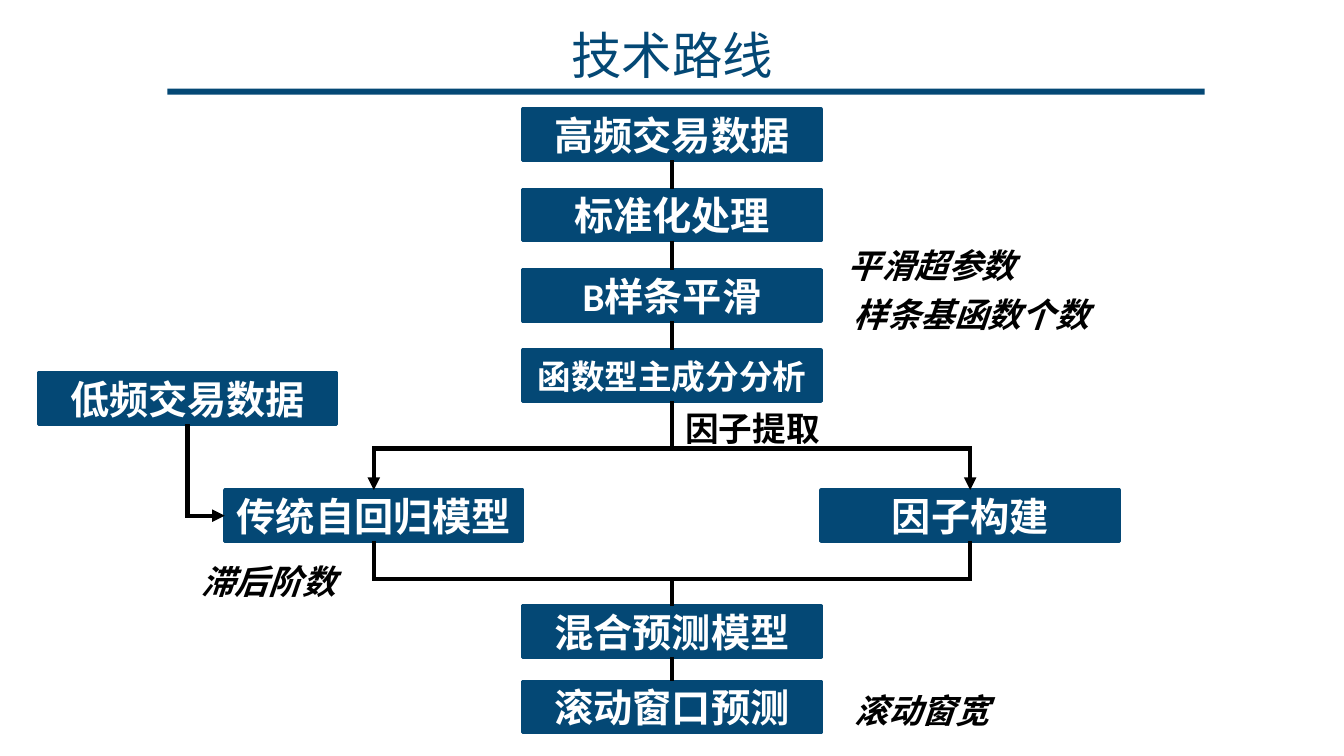
"""Build the technical roadmap flowchart slide."""
from lxml import etree
from pptx import Presentation
from pptx.dml.color import RGBColor
from pptx.enum.shapes import MSO_CONNECTOR, MSO_SHAPE
from pptx.enum.text import MSO_ANCHOR, PP_ALIGN
from pptx.oxml.ns import qn
from pptx.util import Pt

RECTANGLE = MSO_SHAPE.RECTANGLE
STRAIGHT = MSO_CONNECTOR.STRAIGHT
MIDDLE = MSO_ANCHOR.MIDDLE
CENTER, LEFT = PP_ALIGN.CENTER, PP_ALIGN.LEFT
TOP_SIDE, LEFT_SIDE, BOTTOM_SIDE = 0, 1, 2

NAVY, BLACK, WHITE = "044875", "000000", "FFFFFF"
FONT = "Calibri"
TITLE = "技术路线"

NODE_WIDTH, NODE_HEIGHT = 213, 36.7
LINE_WIDTH = 3
MAIN_X, LEFT_X, RIGHT_X, LOW_X = 480, 267, 693, 134
FIRST_TOP, STEP = 77.8, 57.4
MODEL_TOP = 350
SPLIT_Y, MERGE_Y = 320.4, 413.3

STEPS = [("高频交易数据", 28), ("标准化处理", 28), ("B样条平滑", 28), ("函数型主成分分析", 24)]
NODES = [
    ("低频交易数据", LOW_X, 266.4),
    ("传统自回归模型", LEFT_X, MODEL_TOP),
    ("因子构建", RIGHT_X, MODEL_TOP),
    ("混合预测模型", MAIN_X, 432.7),
    ("滚动窗口预测", MAIN_X, 486.7),
]
LABELS = [
    ("因子提取", 482.4, 288, False),
    ("滞后阶数", 136.8, 397.4, True),
    ("平滑超参数", 598.3, 171.4, True),
    ("样条基函数个数", 602.6, 206.6, True),
    ("滚动窗宽", 603.4, 489.6, True),
]


def color(value):
    return RGBColor.from_string(value)


def write(shape, text, size, text_color, alignment, bold=True, italic=False):
    shape.text_frame.text = text
    paragraph = shape.text_frame.paragraphs[0]
    paragraph.alignment = alignment
    font = paragraph.runs[0].font
    font.name, font.size = FONT, Pt(size)
    font.bold, font.italic = bold, italic
    font.color.rgb = color(text_color)


def add_bar(slide, left, top, width, height):
    shape = slide.shapes.add_shape(RECTANGLE, Pt(left), Pt(top), Pt(width), Pt(height))
    shape.shadow.inherit = False
    shape.fill.solid()
    shape.fill.fore_color.rgb = color(NAVY)
    return shape


def add_node(slide, text, center, top, size=28):
    shape = add_bar(slide, center - NODE_WIDTH / 2, top, NODE_WIDTH, NODE_HEIGHT)
    shape.line.color.rgb = color(NAVY)
    shape.line.width = Pt(2.25)
    frame = shape.text_frame
    frame.margin_left = frame.margin_right = frame.margin_top = frame.margin_bottom = 0
    frame.vertical_anchor = MIDDLE
    write(shape, text, size, WHITE, CENTER)
    return shape


def add_line(slide, start, end, source=None, target=None, arrow=False):
    """Draw a line; source and target are (shape, side) pairs to join."""
    line = slide.shapes.add_connector(STRAIGHT, *(Pt(value) for value in start + end))
    if source:
        line.begin_connect(*source)
    if target:
        line.end_connect(*target)
    line.line.color.rgb = color(BLACK)
    line.line.width = Pt(LINE_WIDTH)
    if arrow:
        etree.SubElement(line.line._get_or_add_ln(), qn("a:tailEnd"), type="triangle")
    etree.SubElement(line._element.spPr, qn("a:effectLst"))


def add_label(slide, text, left, top, italic):
    box = slide.shapes.add_textbox(Pt(left), Pt(top), Pt(186), Pt(36))
    box.text_frame.word_wrap = True
    write(box, text, 24, BLACK, LEFT, italic=italic)


def add_title(slide):
    title = slide.shapes.title
    title.left, title.top, title.width, title.height = Pt(125.3), Pt(13), Pt(710), Pt(51)
    title.text_frame.vertical_anchor = MIDDLE
    write(title, TITLE, 36, NAVY, CENTER, bold=False)
    add_bar(slide, 119.5, 63.4, 741, 4.3).line.fill.background()


def main():
    presentation = Presentation()
    presentation.slide_width, presentation.slide_height = Pt(960), Pt(540)
    slide = presentation.slides.add_slide(presentation.slide_layouts[5])
    add_title(slide)

    steps = [add_node(slide, text, MAIN_X, FIRST_TOP + index * STEP, size)
             for index, (text, size) in enumerate(STEPS)]
    low, model, factor, mixed, rolling = [add_node(slide, *node) for node in NODES]

    for upper, lower in list(zip(steps, steps[1:])) + [(mixed, rolling)]:
        add_line(slide, (0, 0), (0, 0), (upper, BOTTOM_SIDE), (lower, TOP_SIDE))

    overlap = LINE_WIDTH / 2
    add_line(slide, (0, 0), (MAIN_X, SPLIT_Y), source=(steps[-1], BOTTOM_SIDE))
    for bar_y in (SPLIT_Y, MERGE_Y):
        add_line(slide, (LEFT_X, bar_y), (RIGHT_X, bar_y))
    for node, center in ((model, LEFT_X), (factor, RIGHT_X)):
        add_line(slide, (center, SPLIT_Y - overlap), (0, 0), target=(node, TOP_SIDE), arrow=True)
        add_line(slide, (0, 0), (center, MERGE_Y + overlap), source=(node, BOTTOM_SIDE))
    add_line(slide, (MAIN_X, MERGE_Y), (0, 0), target=(mixed, TOP_SIDE))

    elbow_y = MODEL_TOP + NODE_HEIGHT / 2
    add_line(slide, (0, 0), (LOW_X, elbow_y + overlap), source=(low, BOTTOM_SIDE))
    add_line(slide, (LOW_X, elbow_y), (0, 0), target=(model, LEFT_SIDE), arrow=True)

    for label in LABELS:
        add_label(slide, *label)
    presentation.save("out.pptx")


if __name__ == "__main__":
    main()
